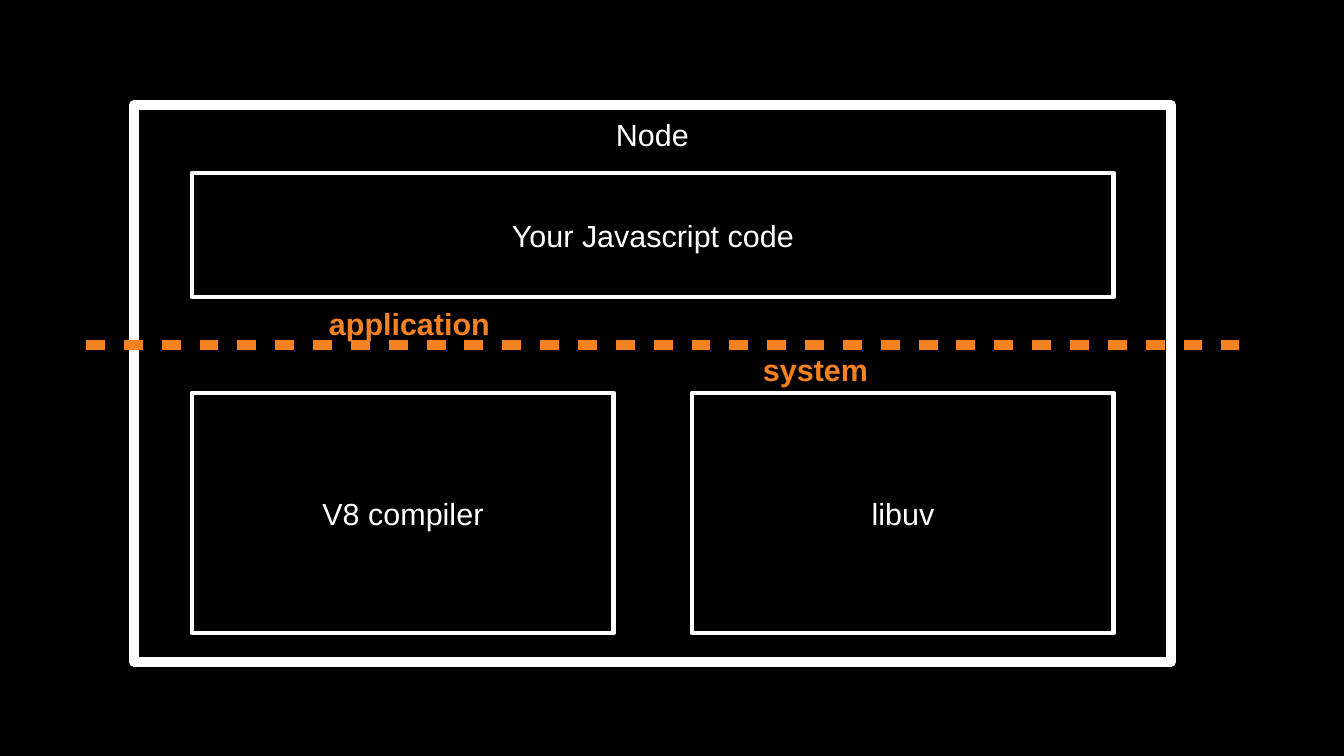
from dataclasses import dataclass

from pptx import Presentation
from pptx.dml.color import RGBColor
from pptx.enum.shapes import MSO_CONNECTOR as Link, MSO_SHAPE as Form
from pptx.enum.text import MSO_ANCHOR as Anchor, MSO_AUTO_SIZE as Fit, PP_ALIGN as Align
from pptx.oxml import parse_xml
from pptx.oxml.ns import nsdecls
from pptx.util import Emu, Pt

SCALE = 914400 / 122
BLACK, WHITE, ORANGE = "000000", "FFFFFF", "F58220"
THICK, THIN = 5.67, 2.83
DASH = 197000  # dash and gap, in thousandths of a percent of the line width


@dataclass
class Box:
    text: str
    left: int
    top: int
    width: int
    height: int
    line: float = THIN
    anchor: Anchor = Anchor.MIDDLE
    inset: tuple[int, int] = (15, 9)


@dataclass
class Label:
    text: str
    left: int
    top: int
    width: int
    height: int = 46


LEFT, WIDE, HALF = 192, 922, 422
LOW, TALL = 393, 240
SPLIT = 345

BOXES = [
    Box("Node", 134, 105, 1037, 557, THICK, Anchor.TOP, (17, 11)),
    Box("Your Javascript code", LEFT, 173, WIDE, 124),
    Box("V8 compiler", LEFT, LOW, HALF, TALL),
    Box("libuv", LEFT + WIDE - HALF, LOW, HALF, TALL),
]
LABELS = [
    Label("application", 317, 299, 200),
    Label("system", 751, SPLIT, 144),
]


def px(*sizes: int) -> list[Emu]:
    return [Emu(round(size * SCALE)) for size in sizes]


def color(code: str) -> RGBColor:
    return RGBColor.from_string(code)


def write(shape, text: str, tint: str, align: Align, bold: bool, frame: dict) -> None:
    body = shape.text_frame
    body.text = text
    for name, value in frame.items():
        setattr(body, name, value)
    para = body.paragraphs[0]
    para.alignment = align
    font = para.runs[0].font
    for name, value in {"name": "Arial", "size": Pt(18), "bold": bold}.items():
        setattr(font, name, value)
    font.color.rgb = color(tint)


def stroke(shape, tint: str, width: float) -> None:
    shape.line.color.rgb = color(tint)
    shape.line.width = Pt(width)


def add_box(slide, box: Box) -> None:
    shape = slide.shapes.add_shape(
        Form.RECTANGLE, *px(box.left, box.top, box.width, box.height))
    shape.shadow.inherit = False
    shape.fill.background()
    stroke(shape, WHITE, box.line)
    side, edge = px(*box.inset)
    write(shape, box.text, WHITE, Align.CENTER, False, {
        "word_wrap": False, "vertical_anchor": box.anchor,
        "margin_left": side, "margin_right": side,
        "margin_top": edge, "margin_bottom": edge,
    })


def add_label(slide, label: Label) -> None:
    shape = slide.shapes.add_textbox(
        *px(label.left, label.top, label.width, label.height))
    write(shape, label.text, ORANGE, Align.LEFT, True, {
        "word_wrap": True, "auto_size": Fit.NONE,
    })


def add_split(slide) -> None:
    line = slide.shapes.add_connector(Link.STRAIGHT, *px(86, SPLIT, 1239, SPLIT))
    stroke(line, ORANGE, THICK)
    # Even dashes, no shadow
    line.line._get_or_add_ln().append(parse_xml(
        f'<a:custDash {nsdecls("a")}><a:ds d="{DASH}" sp="{DASH}"/></a:custDash>'))
    line._element.spPr.append(parse_xml(f'<a:effectLst {nsdecls("a")}/>'))


def main() -> None:
    deck = Presentation()
    deck.slide_width, deck.slide_height = px(1344, 756)
    slide = deck.slides.add_slide(deck.slide_layouts[6])
    slide.background.fill.solid()
    slide.background.fill.fore_color.rgb = color(BLACK)

    # Node and its parts
    for box in BOXES:
        add_box(slide, box)

    # Border between application and system
    add_split(slide)
    for label in LABELS:
        add_label(slide, label)

    deck.save("out.pptx")


if __name__ == "__main__":
    main()
